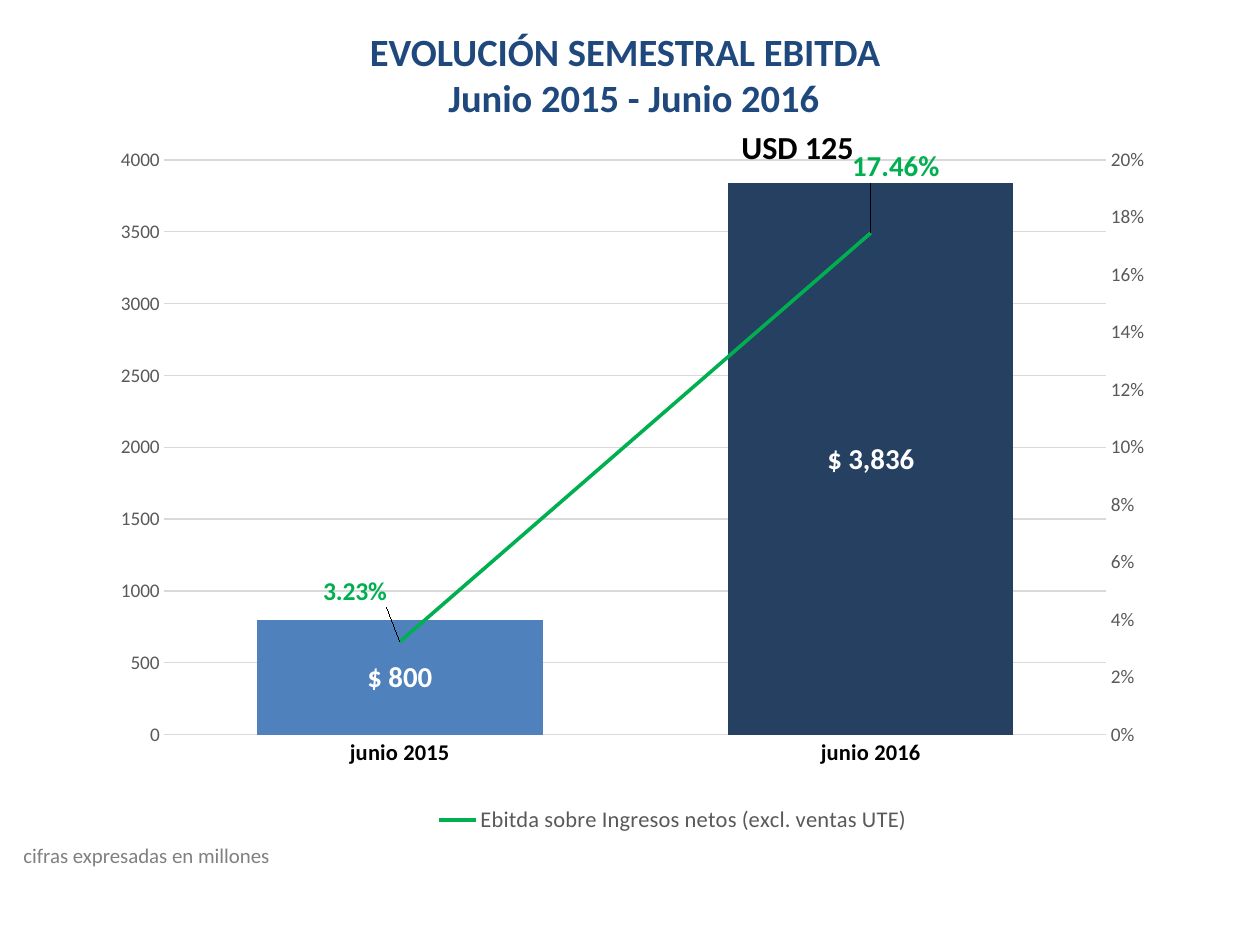
from copy import deepcopy
from dataclasses import dataclass

from lxml import etree
from pptx import Presentation
from pptx.chart.axis import CategoryAxis, ValueAxis
from pptx.chart.chart import Chart
from pptx.chart.data import CategoryChartData
from pptx.dml.color import RGBColor
from pptx.enum.chart import (XL_CHART_TYPE, XL_LABEL_POSITION, XL_LEGEND_POSITION,
                             XL_MARKER_STYLE, XL_TICK_MARK)
from pptx.enum.text import PP_ALIGN
from pptx.oxml import parse_xml
from pptx.oxml.ns import nsdecls, qn
from pptx.slide import Slide
from pptx.text.text import Font
from pptx.util import Emu, Pt

EMU_PER_PX = 7917
FONT = "Calibri"
BLACK = RGBColor(0x00, 0x00, 0x00)
WHITE = RGBColor(0xFF, 0xFF, 0xFF)
NAVY = RGBColor(0x1F, 0x49, 0x7D)
BLUE = RGBColor(0x4F, 0x81, 0xBD)
DARK_BLUE = RGBColor(0x25, 0x40, 0x61)
GREEN = RGBColor(0x00, 0xB0, 0x50)
GREY = RGBColor(0x80, 0x80, 0x80)
AXIS_GREY = RGBColor(0x59, 0x59, 0x59)
GRID_GREY = RGBColor(0xD9, 0xD9, 0xD9)


@dataclass(frozen=True)
class Box:
    left: int
    top: int
    width: int
    height: int

    def emu(self) -> tuple[Emu, ...]:
        return tuple(px(n) for n in (self.left, self.top, self.width, self.height))


@dataclass(frozen=True)
class Semester:
    name: str
    ebitda: int
    margin: float
    bar_color: RGBColor
    margin_size: int
    margin_dx: float  # label shift, as a share of the chart's size
    margin_dy: float


SEMESTERS = [
    Semester("junio 2015", 800, 0.0323, BLUE, 16, -0.07, -0.06),
    Semester("junio 2016", 3836, 0.1746, DARK_BLUE, 18, -0.02, -0.08),
]


def px(length: int) -> Emu:
    return Emu(length * EMU_PER_PX)


def set_font(font: Font, size: int, color: RGBColor, bold: bool = False) -> None:
    font.name, font.size, font.bold = FONT, Pt(size), bold
    font.color.rgb = color


def add_text(slide: Slide, text: str, box: Box, *, size: int, color: RGBColor,
             bold: bool = False, align: PP_ALIGN = PP_ALIGN.LEFT) -> None:
    frame = slide.shapes.add_textbox(*box.emu()).text_frame
    frame.word_wrap = True
    frame.text = text
    for paragraph in frame.paragraphs:
        paragraph.alignment = align
        set_font(paragraph.runs[0].font, size, color, bold)


def layout(**settings: float | str) -> etree._Element:
    """Manual chart layout; settings follow the schema order."""
    items = "".join(f'<c:{key} val="{value}"/>' for key, value in settings.items())
    return parse_xml(f"<c:layout {nsdecls('c')}><c:manualLayout>{items}"
                     "</c:manualLayout></c:layout>")


def set_layout(parent: etree._Element, position: int, new: etree._Element) -> None:
    for old in parent.findall(qn("c:layout")):
        parent.remove(old)
    parent.insert(position, new)


def style_axes(chart: Chart) -> None:
    months, amounts = chart.category_axis, chart.value_axis
    for axis in (months, amounts):
        axis.major_tick_mark = axis.minor_tick_mark = XL_TICK_MARK.NONE
    set_font(months.tick_labels.font, 14, BLACK, True)
    months.format.line.color.rgb = GRID_GREY
    months.format.line.width = Pt(0.75)
    set_font(amounts.tick_labels.font, 12, AXIS_GREY)
    amounts.format.line.fill.background()
    amounts.minimum_scale, amounts.maximum_scale = 0, 4000
    amounts.major_unit = 500
    amounts.tick_labels.number_format = "0"
    amounts.tick_labels.number_format_is_linked = False
    amounts.major_gridlines.format.line.color.rgb = GRID_GREY
    amounts.major_gridlines.format.line.width = Pt(0.75)


def move_margin_to_right_axis(chart: Chart) -> None:
    """Turn the second series into a line with its own percentage axis."""
    bar_chart = chart.plots[0]._element
    margin = bar_chart.findall(qn("c:ser"))[1]
    for bar_only in margin.findall(qn("c:invertIfNegative")):
        margin.remove(bar_only)
    line_chart = parse_xml(
        f'<c:lineChart {nsdecls("c")}><c:grouping val="standard"/><c:varyColors val="0"/>'
        '<c:marker val="1"/><c:axId val="5001"/><c:axId val="5002"/></c:lineChart>')
    line_chart.insert(2, margin)
    bar_chart.addnext(line_chart)

    months = deepcopy(chart.category_axis._element)
    percents = deepcopy(chart.value_axis._element)
    chart.value_axis._element.addnext(percents)
    percents.addnext(months)
    for axis, own_id, cross_id in ((months, "5001", "5002"), (percents, "5002", "5001")):
        axis.find(qn("c:axId")).set("val", own_id)
        axis.find(qn("c:crossAx")).set("val", cross_id)
    percents.find(qn("c:axPos")).set("val", "r")
    percents.find(qn("c:crosses")).set("val", "max")
    CategoryAxis(months).visible = False
    right = ValueAxis(percents)
    right.has_major_gridlines = False
    right.maximum_scale, right.major_unit = 0.2, 0.02
    right.tick_labels.number_format = "0%"


def style_bars(chart: Chart) -> None:
    plot = chart.plots[0]
    plot.gap_width, plot.vary_by_categories = 65, False
    bars = plot.series[0]
    bars.format.fill.solid()
    bars.format.fill.fore_color.rgb = BLUE
    for index, semester in enumerate(SEMESTERS):
        fill = bars.points[index].format.fill
        fill.solid()
        fill.fore_color.rgb = semester.bar_color
    labels = bars.data_labels
    labels.show_value = True
    labels.position = XL_LABEL_POSITION.CENTER
    labels.number_format = r"[$$-2C0A]\ #,##0"
    labels.number_format_is_linked = False
    set_font(labels.font, 18, WHITE, True)


def style_margin_line(chart: Chart) -> None:
    margin = chart.plots[1].series[0]
    margin.smooth = False
    margin.marker.style = XL_MARKER_STYLE.NONE
    margin.format.line.color.rgb = GREEN
    margin.format.line.width = Pt(2.25)
    margin.data_labels.show_value = True
    set_font(margin.data_labels.font, 16, GREEN, True)
    for index, semester in enumerate(SEMESTERS):
        label = margin.points[index].data_label
        set_font(label.font, semester.margin_size, GREEN, True)
        label.position = XL_LABEL_POSITION.RIGHT
        element = margin.data_labels._element.findall(qn("c:dLbl"))[index]
        set_layout(element, 1, layout(x=semester.margin_dx, y=semester.margin_dy))


def style_legend(chart: Chart) -> None:
    chart.has_legend = True
    legend = chart.legend
    legend.position = XL_LEGEND_POSITION.BOTTOM
    legend.include_in_layout = False
    set_font(legend.font, 14, AXIS_GREY)
    hidden_bars = parse_xml(f'<c:legendEntry {nsdecls("c")}><c:idx val="0"/>'
                            '<c:delete val="1"/></c:legendEntry>')
    legend._element.insert(1, hidden_bars)
    set_layout(legend._element, 2, layout(xMode="edge", yMode="edge", x=0.33, y=0.92))


def add_ebitda_chart(slide: Slide, box: Box) -> None:
    data = CategoryChartData()
    data.categories = [s.name for s in SEMESTERS]
    data.add_series("Series 1", [s.ebitda for s in SEMESTERS], "0")
    data.add_series("Ebitda sobre Ingresos netos (excl. ventas UTE)",
                    [s.margin for s in SEMESTERS], "0.00%")
    chart = slide.shapes.add_chart(XL_CHART_TYPE.COLUMN_CLUSTERED, *box.emu(), data).chart
    chart.has_title = False
    set_font(chart.font, 10, BLACK)
    style_axes(chart)
    move_margin_to_right_axis(chart)
    for style in (style_bars, style_margin_line, style_legend):
        style(chart)
    set_layout(chart.plots[0]._element.getparent(), 0,
               layout(layoutTarget="inner", xMode="edge", yMode="edge",
                      x=0.1, y=0.15, w=0.81, h=0.69))


def main() -> None:
    deck = Presentation()
    deck.slide_width, deck.slide_height = px(1260), px(946)
    slide = deck.slides.add_slide(deck.slide_layouts[6])
    add_ebitda_chart(slide, Box(48, 35, 1163, 833))
    # Heading, unit note and dollar equivalent
    add_text(slide, "EVOLUCIÓN SEMESTRAL EBITDA \n Junio 2015 - Junio 2016",
             Box(12, 22, 1235, 105), size=24, color=NAVY, bold=True, align=PP_ALIGN.CENTER)
    add_text(slide, "cifras expresadas en millones", Box(12, 837, 683, 37), size=13, color=GREY)
    add_text(slide, "USD 125", Box(730, 122, 146, 51), size=20, color=BLACK, bold=True)
    deck.save("out.pptx")


if __name__ == "__main__":
    main()
